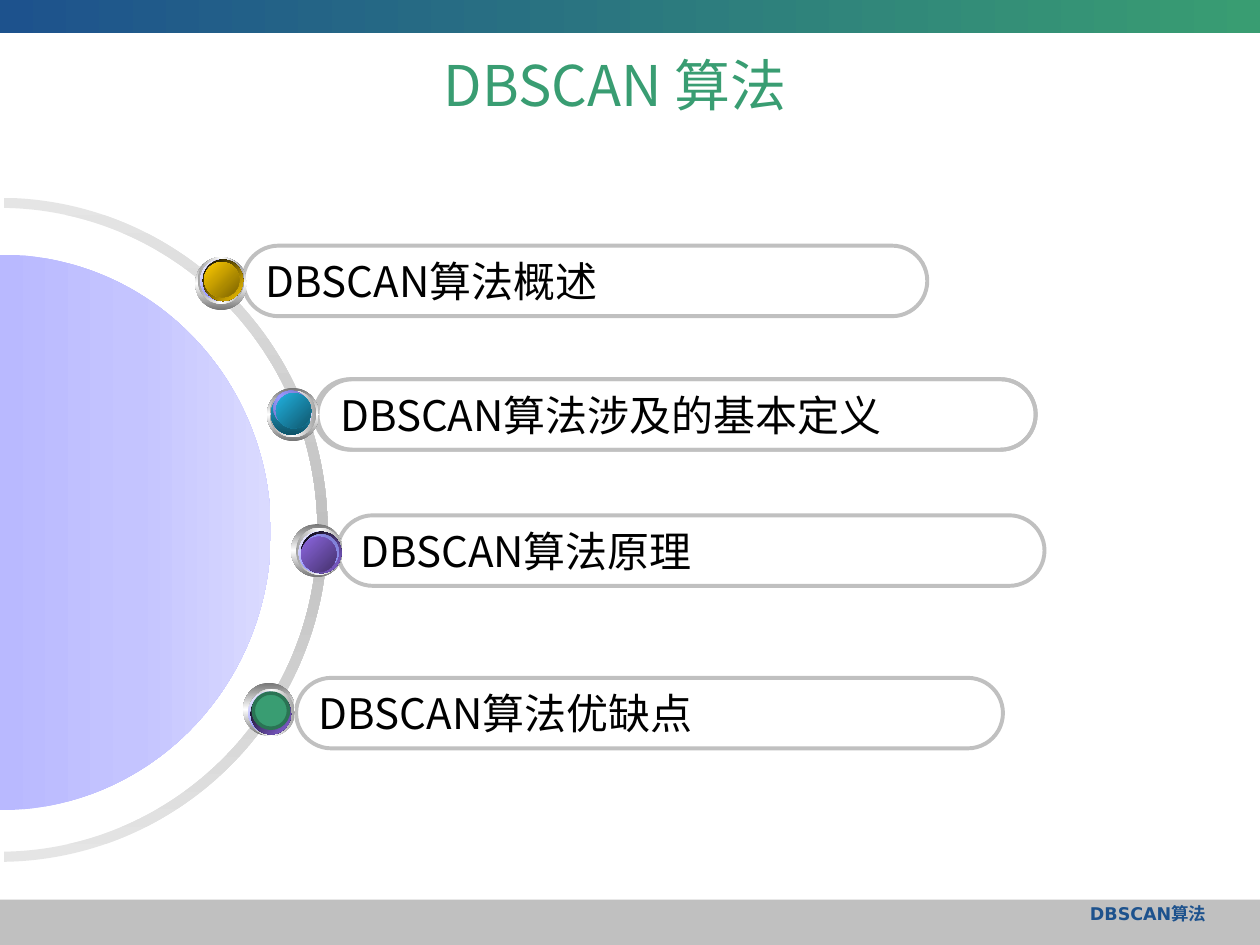
from copy import deepcopy

from lxml import etree
from pptx import Presentation
from pptx.dml.color import RGBColor
from pptx.enum.shapes import MSO_SHAPE
from pptx.enum.text import MSO_ANCHOR, PP_ALIGN
from pptx.oxml.ns import qn
from pptx.util import Inches, Pt

RECTANGLE, PILL, OVAL = MSO_SHAPE.RECTANGLE, MSO_SHAPE.ROUNDED_RECTANGLE, MSO_SHAPE.OVAL
TOP, MIDDLE = MSO_ANCHOR.TOP, MSO_ANCHOR.MIDDLE
LEFT, CENTER, RIGHT = PP_ALIGN.LEFT, PP_ALIGN.CENTER, PP_ALIGN.RIGHT
CJK_FONT = "Noto Sans CJK SC"
BLUE, GREEN, GRAY = "1D528D", "399D72", "C0C0C0"
color = RGBColor.from_string


def write_text(shape, text, size, hex_color="000000", font=CJK_FONT, bold=False,
               align=LEFT, anchor=MIDDLE, wrap=True):
    frame = shape.text_frame
    frame.word_wrap = wrap
    frame.vertical_anchor = anchor
    paragraph = frame.paragraphs[0]
    paragraph.alignment = align
    run = paragraph.add_run()
    run.text = text
    run.font.size = Pt(size)
    run.font.bold = bold
    run.font.color.rgb = color(hex_color)
    run.font.name = font
    etree.SubElement(run.font._element, qn("a:ea"), typeface=CJK_FONT)


def paint(shape, hex_colors, angle=0):
    """Fill without outline: one colour is solid, more are evenly spaced stops (clockwise angle)."""
    shape.shadow.inherit = False
    shape.line.fill.background()
    fill = shape.fill
    if len(hex_colors) == 1:
        fill.solid()
        fill.fore_color.rgb = color(hex_colors[0])
        return
    fill.gradient()
    fill.gradient_angle = (360 - angle) % 360
    stop_list = shape.element.spPr.find(".//" + qn("a:gsLst"))
    for _ in hex_colors[2:]:
        stop_list.append(deepcopy(stop_list[-1]))
    for index, (stop, hex_color) in enumerate(zip(fill.gradient_stops, hex_colors)):
        stop.position = index / (len(hex_colors) - 1)
        stop.color.rgb = color(hex_color)


presentation = Presentation()
presentation.slide_width, presentation.slide_height = Inches(10), Inches(7.5)
slide = presentation.slides.add_slide(presentation.slide_layouts[6])
shapes = slide.shapes

# Bands, footer and title
for top, height, hex_colors in [(7.14, 0.36, [GRAY]), (0, 0.26, [BLUE, GREEN])]:
    band = shapes.add_shape(RECTANGLE, 0, Inches(top), Inches(10), Inches(height))
    paint(band, hex_colors)
footer = shapes.add_textbox(Inches(6.5), Inches(7.12), Inches(3.17), Inches(0.32))
write_text(footer, "DBSCAN算法", 10, BLUE, font="DejaVu Sans", bold=True, align=RIGHT, anchor=TOP)
title = shapes.add_textbox(Inches(0.27), Inches(0.35), Inches(9.23), Inches(0.64))
write_text(title, "DBSCAN 算法", 32, GREEN, align=CENTER)

# Half ring and half disc: each arc has a start point and two Bézier curves of three points
ring_inner = [(0.03, 1.65), (1.41, 1.67), (2.52, 2.81), (2.52, 4.21),
              (2.52, 5.6), (1.41, 6.74), (0.03, 6.76)]
ring_outer = [(0.03, 6.84), (1.45, 6.82), (2.6, 5.65), (2.6, 4.21),
              (2.6, 2.76), (1.45, 1.59), (0.03, 1.57)]
disc_edge = [(0, 2.02), (1.19, 2.02), (2.15, 3), (2.15, 4.22),
             (2.15, 5.44), (1.19, 6.43), (0, 6.43)]
half_rounds = [
    ([ring_inner, ring_outer], ["E5E5E5", GRAY, "E5E5E5"], 90),
    ([disc_edge], ["B9B9FF", "C4C4FF", "DADAFF"], 0),
]
for arcs, hex_colors, angle in half_rounds:
    points = [(Inches(x), Inches(y)) for arc in arcs for x, y in arc]
    builder = shapes.build_freeform(*points[0])
    builder.add_line_segments(points[1:], close=True)
    half_round = builder.convert_to_shape()
    nodes = list(half_round.element.spPr.find(".//" + qn("a:path")))
    for arc_start in range(0, len(points), 7):
        for first in (arc_start + 1, arc_start + 4):
            curve = etree.Element(qn("a:cubicBezTo"))
            nodes[first].addprevious(curve)
            for node in nodes[first:first + 3]:
                curve.append(node[0])
                node.getparent().remove(node)
    paint(half_round, hex_colors, angle)

# Topic pills: left, top, width, text
pills = [
    (1.93, 1.95, 5.43, "DBSCAN算法概述"),
    (2.5, 3.01, 5.72, None),
    (2.52, 3.01, 5.7, "DBSCAN算法涉及的基本定义"),
    (2.68, 4.09, 5.61, "DBSCAN算法原理"),
    (2.35, 5.38, 5.61, "DBSCAN算法优缺点"),
]
for left, top, width, text in pills:
    pill = shapes.add_shape(PILL, Inches(left), Inches(top), Inches(width), Inches(0.56))
    pill.adjustments[0] = 0.5
    pill.shadow.inherit = False
    pill.fill.background()
    pill.line.color.rgb = color(GRAY)
    pill.line.width = Pt(2.25)
    if text:
        write_text(pill, text, 24, wrap=False)

# Buttons: six stacked ovals each; the bezel is shared, the shade and face are coloured
oval_sizes = [(0.41, 0.42), (0.37, 0.37), (0.32, 0.33), (0.32, 0.33), (0.28, 0.28), (0.28, 0.28)]
STEEL = (["767676", "FFFFFF", "767676"], 90)
SILVER = (["A2A2A2", "FFFFFF", "A2A2A2"], 0)
GLOW = (["FFFFFF", "9999FF", "FFFFFF"], 45)
RIM = (["7575C3", "9999FF", "7575C3"], 315)
buttons = [
    ([(1.55, 2.04), (1.57, 2.04), (1.59, 2.06), (1.61, 2.06), (1.62, 2.08), (1.62, 2.08)],
     (["000000", "FFCC00"], 45), (["FFCC00", "7C6300"], 45)),
    ([(2.12, 3.08), (2.14, 3.1), (2.15, 3.12), (2.15, 3.12), (2.17, 3.1), (2.19, 3.12)],
     (["21B3E1", "0F5368"], 90), (["21B3E1", "10576D"], 45)),
    ([(2.31, 4.16), (2.35, 4.19), (2.37, 4.22), (2.39, 4.22), (2.41, 4.24), (2.39, 4.26)],
     (["000000", "8D67E1"], 45), (["8D67E1", "45326D"], 45)),
    ([(1.93, 5.42), (1.97, 5.47), (1.97, 5.49), (1.99, 5.5), (2, 5.5), (2.01, 5.5)],
     (["000000", "8D67E1"], 45), ([GREEN], 0)),
]
for positions, shade, face in buttons:
    layers = [STEEL, SILVER, GLOW, shade, RIM, face]
    for (left, top), (width, height), (hex_colors, angle) in zip(positions, oval_sizes, layers):
        oval = shapes.add_shape(OVAL, Inches(left), Inches(top), Inches(width), Inches(height))
        paint(oval, hex_colors, angle)

# The last face, the green one, is outlined
oval.line.color.rgb = color("2A7454")
oval.line.width = Pt(2)

presentation.save("out.pptx")
